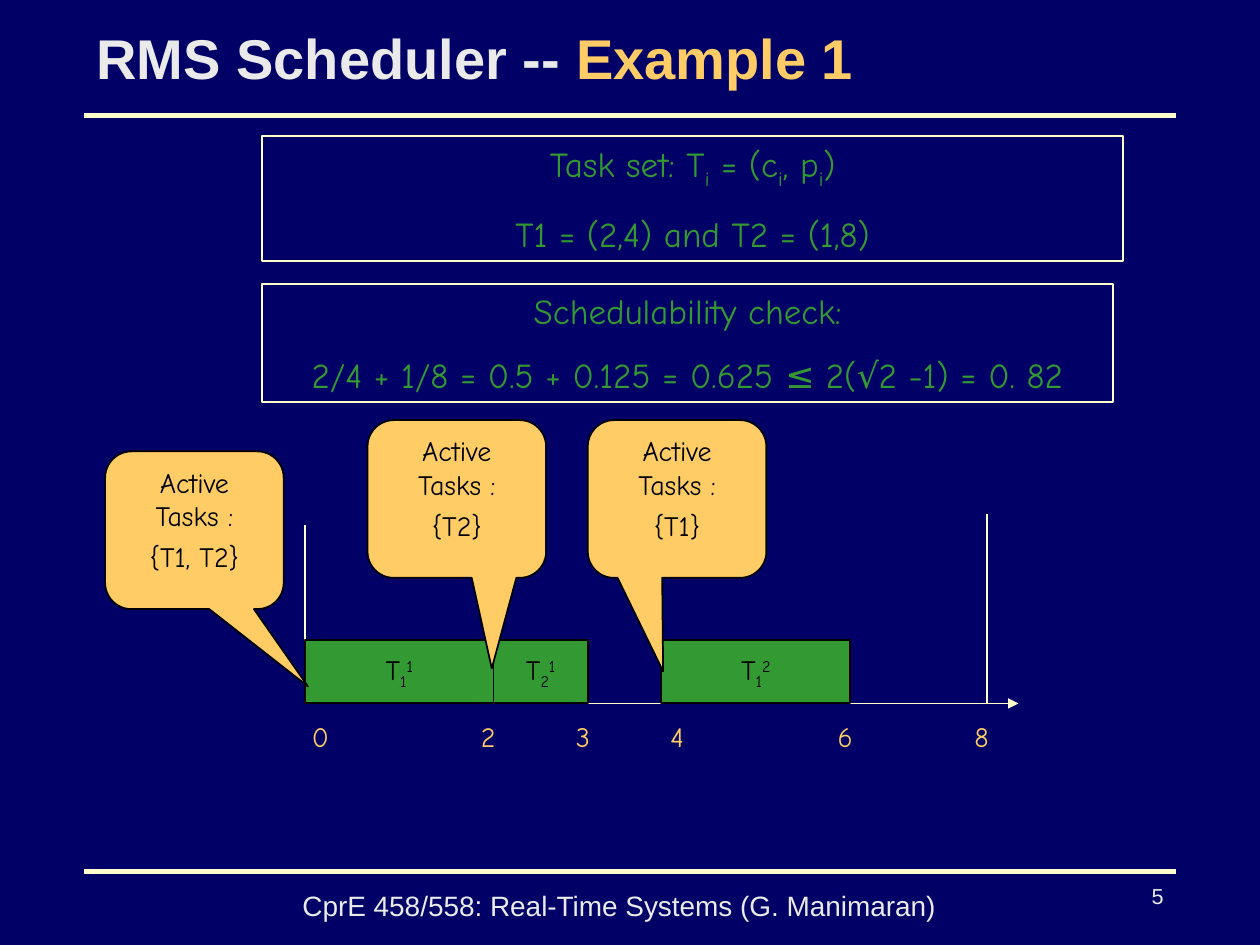
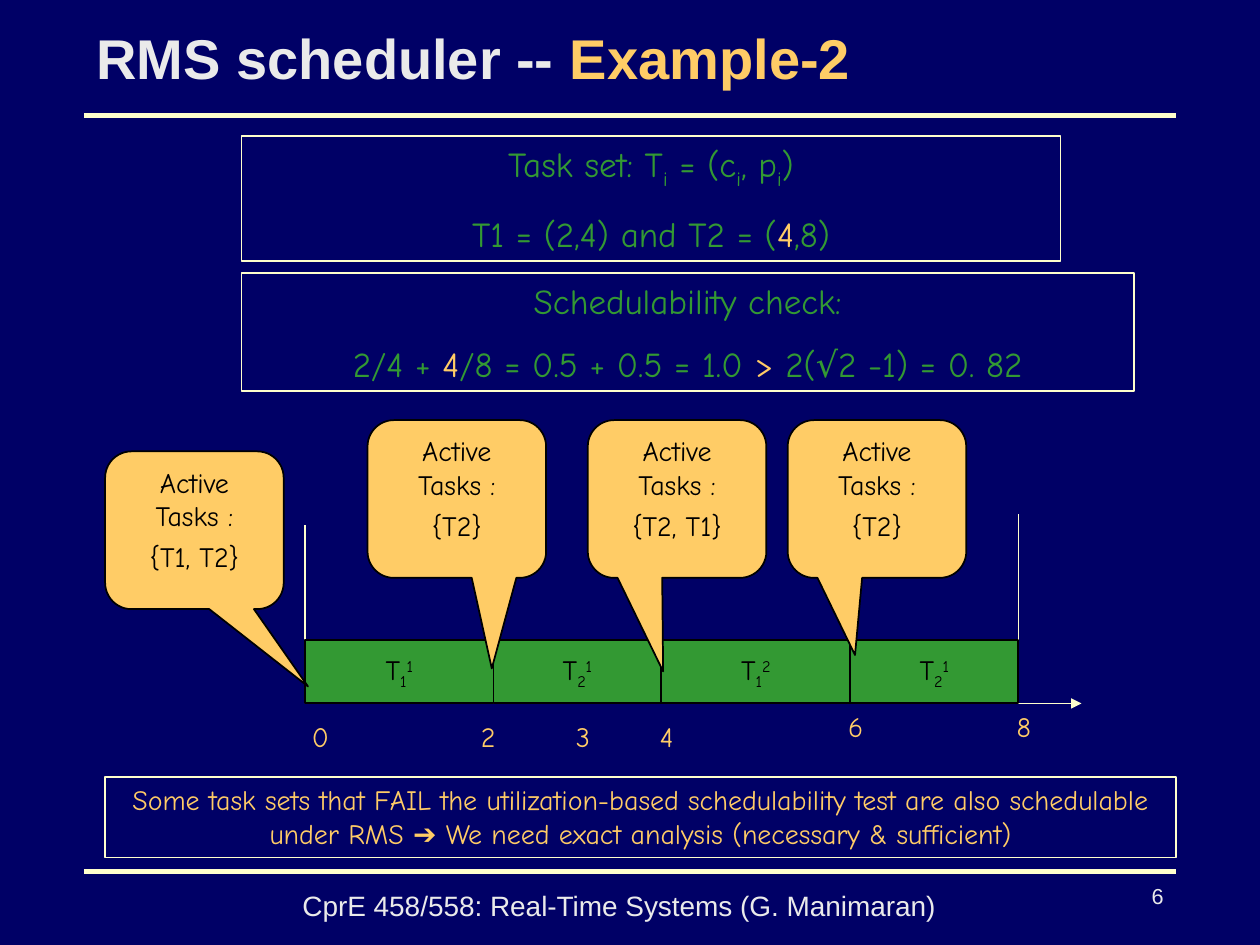
"""Build two slides of worked rate-monotonic scheduling examples."""
from dataclasses import dataclass

import pptx
import pptx.dml.color
import pptx.enum.shapes
import pptx.enum.text
import pptx.oxml
import pptx.oxml.ns
import pptx.util
from pptx.util import Cm


@dataclass(frozen=True)
class Theme:
    background: str = "000066"
    rule: str = "FFFFCC"
    light: str = "EAEAEA"
    accent: str = "FFCC66"
    green: str = "339933"
    black: str = "000000"
    heading_font: str = "Arial"
    body_font: str = "Comic Neue"
    title_size: float = 32
    box_size: float = 20
    body_size: float = 16
    number_size: float = 12.4


theme = Theme()
rgb = pptx.dml.color.RGBColor.from_string
shape_kinds = pptx.enum.shapes.MSO_SHAPE
alignments = pptx.enum.text.PP_ALIGN
anchors = pptx.enum.text.MSO_ANCHOR


def write_text(shape, paragraphs, size=theme.body_size, color=theme.black, font=theme.body_font,
               bold=False, align=alignments.CENTER, anchor=anchors.TOP, gap=0, spacing=None, wrap=True):
    """Fill a shape; each paragraph is a list of strings or (string, style) pairs."""
    frame = shape.text_frame
    frame.word_wrap = wrap
    frame.auto_size = pptx.enum.text.MSO_AUTO_SIZE.NONE
    frame.vertical_anchor = anchor
    for index, pieces in enumerate(paragraphs):
        paragraph = frame.add_paragraph() if index else frame.paragraphs[0]
        paragraph.alignment = align
        paragraph.space_before = pptx.util.Pt(gap if index else 0)
        if spacing:
            paragraph.line_spacing = spacing
        for piece in pieces:
            text, style = (piece, None) if isinstance(piece, str) else piece
            run = paragraph.add_run()
            run.text = text
            run.font.size = pptx.util.Pt(size)
            run.font.bold = bold
            run.font.name = theme.heading_font if style == "symbol" else font
            run.font.color.rgb = rgb(theme.accent if style == "accent" else color)
            if style in ("sub", "super"):
                baseline = "-25000" if style == "sub" else "30000"
                run._r.get_or_add_rPr().set("baseline", baseline)


def draw(slide, kind, place, line=theme.black, fill=None, width=1):
    """Draw a preset shape, or a line when kind is None and place holds its two ends."""
    lengths = [Cm(value) for value in place]
    if kind is None:
        shape = slide.shapes.add_connector(pptx.enum.shapes.MSO_CONNECTOR.STRAIGHT, *lengths)
        properties = shape.element.spPr
        shape.line.color.rgb = rgb(line)
        properties.append(pptx.oxml.parse_xml(f'<a:effectLst {pptx.oxml.ns.nsdecls("a")}/>'))
    else:
        shape = slide.shapes.add_shape(kind, *lengths)
        shape.shadow.inherit = False
        shape.line.color.rgb = rgb(line)
        if fill:
            shape.fill.solid()
            shape.fill.fore_color.rgb = rgb(fill)
        else:
            shape.fill.background()
    shape.line.width = pptx.util.Pt(width)
    return shape


task_set = ["Task set: T", ("i", "sub"), " = (c", ("i", "sub"), ", p", ("i", "sub"), ")"]
check_heading = ["Schedulability check:"]
time_edges = {0: 6.15, 2: 9.95, 3: 11.85, 4: 13.33, 6: 17.14, 8: 20.53}
axis_y = 14.18
slot_height = 1.27
label_y = 14.39
callout_size = (3.6, 3.18)
callout_spots = [
    (2.12, 9.1, 0.636, 0.99),
    (7.41, 8.47, 0.196, 1.074),
    (11.85, 8.47, -0.078, 1.093),
    (15.88, 8.47, -0.123, 0.989),
]
examples = [
    {
        "number": "5",
        "title": ["RMS Scheduler -- ", ("Example 1", "accent")],
        "boxes": [
            ((5.29, 2.75, 17.35, 2.52), [task_set, ["T1 = (2,4) and T2 = (1,8)"]]),
            ((5.29, 5.72, 17.15, 2.38),
             [check_heading, ["2/4 + 1/8 = 0.5 + 0.125 = 0.625 ≤ 2(√2 -1) = 0. 82"]]),
        ],
        "axis_end": 20.53,
        "period_end": 19.9,
        "slots": [(0, 2, "1", "1"), (2, 3, "2", "1"), (4, 6, "1", "2")],
        "labels": [("0", 5.93, label_y), ("2", 9.31, label_y), ("3", 11.22, label_y),
                   ("4", 13.12, label_y), ("6", 16.51, label_y), ("8", 19.26, label_y)],
        "active": ["{T1, T2}", "{T2}", "{T1}"],
        "conclusion": None,
    },
    {
        "number": "6",
        "title": ["RMS scheduler -- ", ("Example-2", "accent")],
        "boxes": [
            ((4.87, 2.75, 16.51, 2.52),
             [task_set, ["T1 = (2,4) and T2 = (", ("4", "accent"), ",8)"]]),
            ((4.87, 5.5, 17.99, 2.38),
             [check_heading, ["2/4 + ", ("4", "accent"), "/8 = 0.5 + 0.5 = 1.0 ",
                              (">", "accent"), " 2(√2 -1) = 0. 82"]]),
        ],
        "axis_end": 21.8,
        "period_end": 20.53,
        "slots": [(0, 2, "1", "1"), (2, 4, "2", "1"), (4, 6, "1", "2"), (6, 8, "2", "1")],
        "labels": [("0", 5.93, label_y), ("2", 9.31, label_y), ("3", 11.22, label_y),
                   ("4", 12.91, label_y), ("6", 16.72, axis_y), ("8", 20.11, axis_y)],
        "active": ["{T1, T2}", "{T2}", "{T2, T1}", "{T2}"],
        "conclusion": ["Some task sets that FAIL the utilization-based schedulability test "
                       "are also schedulable under RMS ", ("➔", "symbol"),
                       " We need exact analysis (necessary & sufficient)"],
    },
]

presentation = pptx.Presentation()
presentation.slide_width, presentation.slide_height = Cm(25.4), Cm(19.05)
master = presentation.slide_master
master.background.fill.solid()
master.background.fill.fore_color.rgb = rgb(theme.background)
title_only = presentation.slide_layouts.get_by_name("Title Only")

for example in examples:
    slide = presentation.slides.add_slide(title_only)

    if example is examples[0]:
        for rule_y in (2.33, 17.57):
            rule = draw(slide, None, (1.69, rule_y, 23.71, rule_y), line=theme.rule, width=3)
            master.shapes.element.append(rule.element)

    title = slide.shapes.title
    title.left, title.top, title.width, title.height = Cm(1.69), Cm(0.42), Cm(22.01), Cm(1.48)
    write_text(title, [example["title"]], size=theme.title_size, color=theme.light,
               font=theme.heading_font, bold=True, align=alignments.LEFT, anchor=anchors.MIDDLE)

    footer = slide.shapes.add_textbox(Cm(4.02), Cm(17.78), Cm(16.93), Cm(0.85))
    write_text(footer, [["CprE 458/558: Real-Time Systems (G. Manimaran)"]],
               color=theme.light, font=theme.heading_font)
    page_number = slide.shapes.add_textbox(Cm(20.96), Cm(17.78), Cm(2.75), Cm(0.85))
    write_text(page_number, [[example["number"]]], size=theme.number_size, color=theme.light,
               font=theme.heading_font, align=alignments.RIGHT, spacing=0.8)

    for place, paragraphs in example["boxes"]:
        box = draw(slide, shape_kinds.RECTANGLE, place, line=theme.rule)
        write_text(box, paragraphs, size=theme.box_size, color=theme.green, gap=12.5)

    origin_x = time_edges[0]
    time_axis = draw(slide, None, (origin_x, axis_y, example["axis_end"], axis_y), line=theme.rule)
    time_axis.line._get_or_add_ln().append(
        pptx.oxml.parse_xml(f'<a:tailEnd type="triangle" {pptx.oxml.ns.nsdecls("a")}/>'))
    for marker_x, marker_top in ((origin_x, 10.58), (example["period_end"], 10.37)):
        draw(slide, None, (marker_x, axis_y, marker_x, marker_top), line=theme.rule)

    for start, end, task, job in example["slots"]:
        left = time_edges[start]
        place = (left, axis_y - slot_height, time_edges[end] - left, slot_height)
        slot = draw(slide, shape_kinds.RECTANGLE, place, fill=theme.green)
        write_text(slot, [["T", (task, "sub"), (job, "super")]], anchor=anchors.MIDDLE, wrap=False)

    for text, left, top in example["labels"]:
        label = slide.shapes.add_textbox(Cm(left), Cm(top), Cm(1.06), Cm(0.94))
        write_text(label, [[text]], color=theme.accent)

    for (left, top, tip_x, tip_y), active in zip(callout_spots, example["active"]):
        callout = draw(slide, shape_kinds.ROUNDED_RECTANGULAR_CALLOUT,
                       (left, top, *callout_size), fill=theme.accent)
        callout.adjustments[0], callout.adjustments[1] = tip_x, tip_y
        write_text(callout, [["Active Tasks :"], [active]], gap=4)

    if example["conclusion"]:
        conclusion = draw(slide, shape_kinds.RECTANGLE, (2.12, 15.66, 21.59, 1.63), line=theme.rule)
        write_text(conclusion, [example["conclusion"]], color=theme.accent)

presentation.save("out.pptx")
